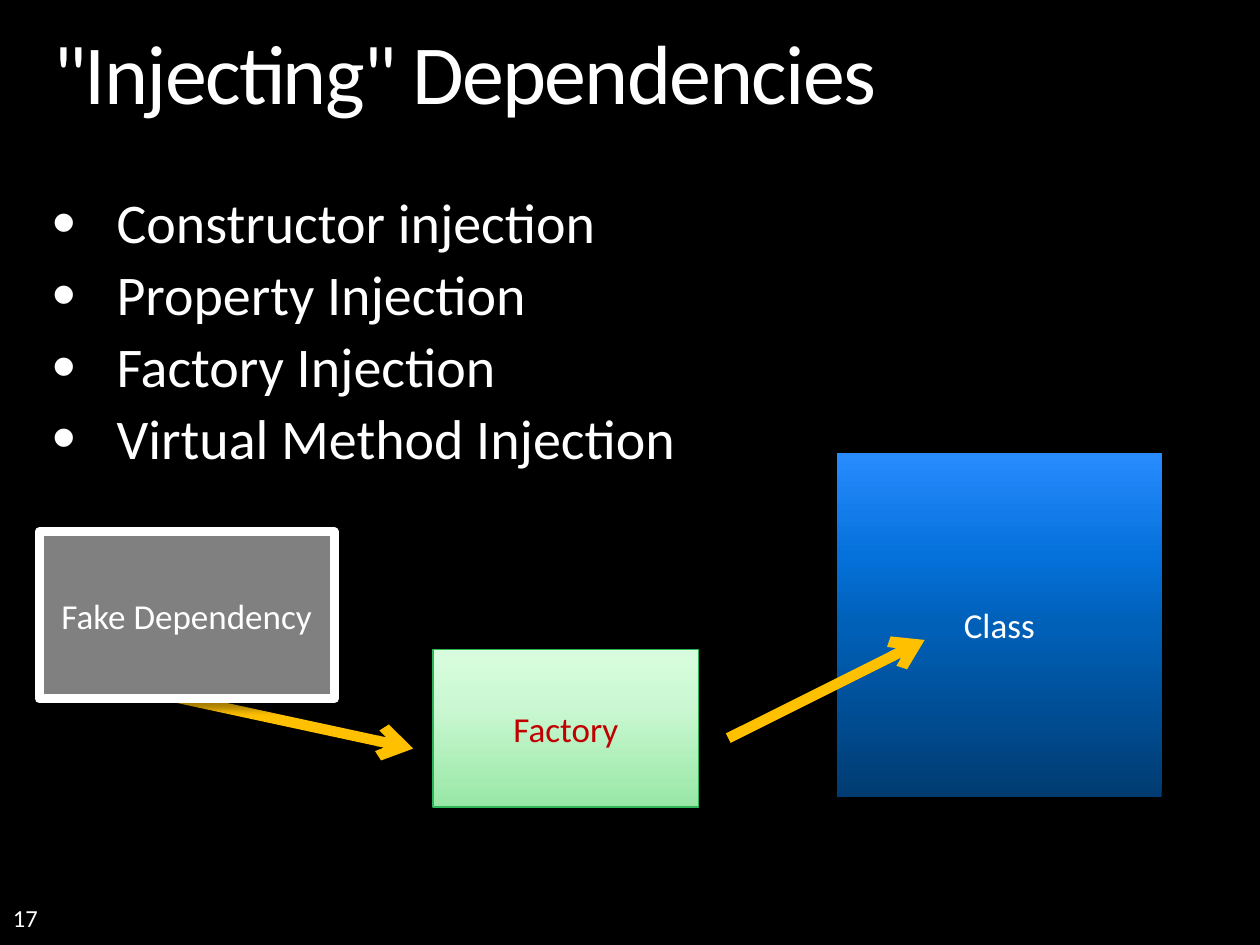
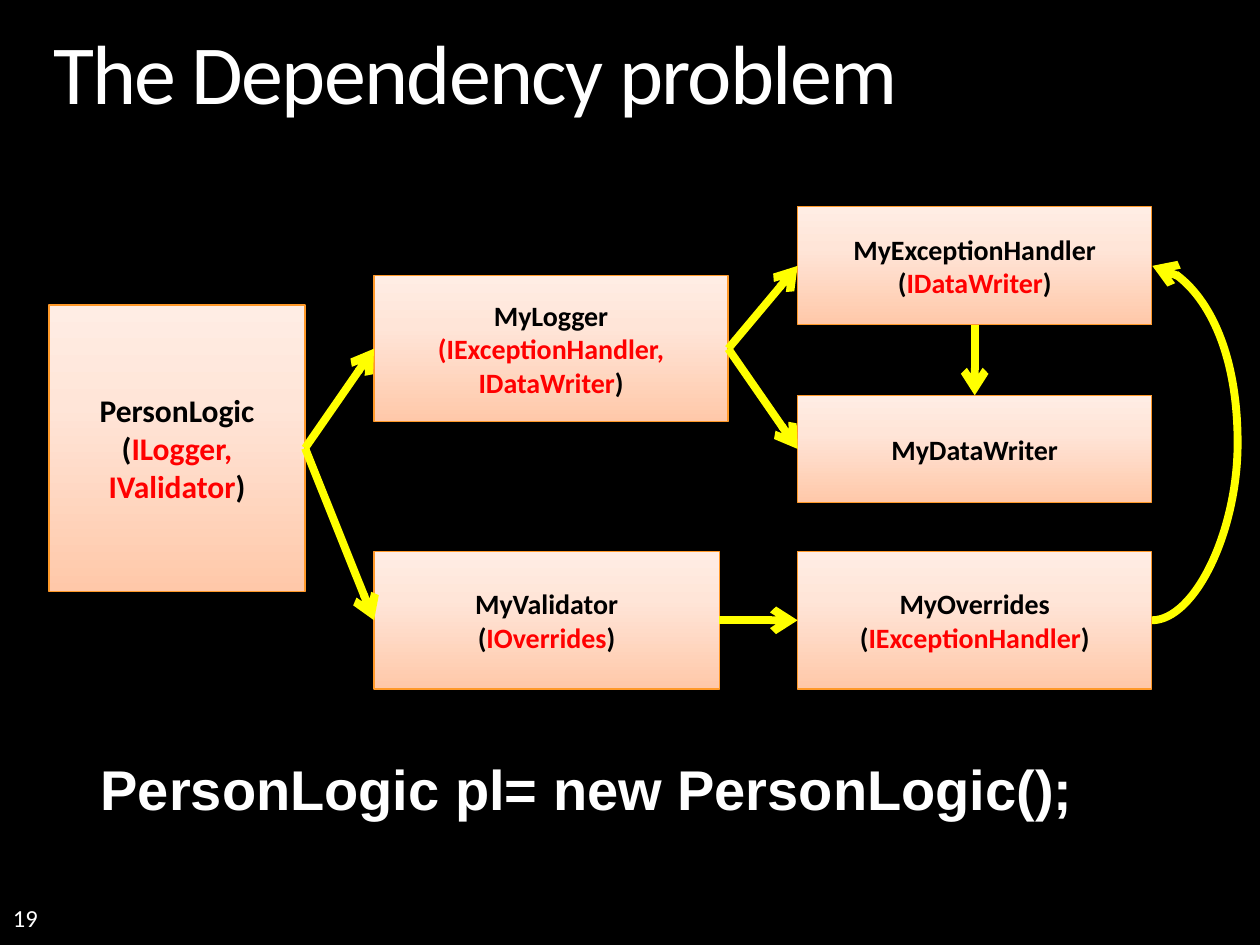
"""Build two slides on dependency injection and save them to out.pptx."""
from dataclasses import dataclass

from lxml.etree import SubElement
from pptx import Presentation
from pptx.dml.color import RGBColor
from pptx.enum.shapes import MSO_CONNECTOR, MSO_SHAPE
from pptx.enum.text import MSO_ANCHOR, PP_ALIGN
from pptx.oxml.ns import qn
from pptx.util import Cm, Pt

RECTANGLE = MSO_SHAPE.RECTANGLE
STRAIGHT, CURVE = MSO_CONNECTOR.STRAIGHT, MSO_CONNECTOR.CURVE
TOP, MIDDLE, BOTTOM = MSO_ANCHOR.TOP, MSO_ANCHOR.MIDDLE, MSO_ANCHOR.BOTTOM
LEFT, CENTER = PP_ALIGN.LEFT, PP_ALIGN.CENTER
TOP_SIDE, LEFT_SIDE, BOTTOM_SIDE, RIGHT_SIDE = range(4)
TITLE_ONLY = 5


@dataclass(frozen=True)
class Theme:
    font: str = "Calibri"
    code_font: str = "Arial"
    black: str = "000000"
    white: str = "FFFFFF"
    red: str = "FF0000"
    dark_red: str = "C00000"
    gray: str = "808080"
    amber: str = "FFC000"
    yellow: str = "FFFF00"
    green: str = "2DB557"
    orange: str = "FF9929"
    blue_fade: tuple = ((0, "003C72"), (50, "0060B8"), (70, "0571DB"), (100, "288CFF"))
    green_fade: tuple = ((0, "98E7A6"), (65, "CBF8D2"), (100, "D8FDDE"))
    peach_fade: tuple = ((0, "FFC8A9"), (65, "FFE5D8"), (100, "FFEDE4"))
    title_size: int = 48
    body_size: int = 32
    label_size: int = 20
    root_size: int = 18
    node_size: int = 16
    number_size: int = 14


theme = Theme()


def add_text(para, text, size, color=theme.white, font=theme.font, bold=False, spacing=0):
    span = para.add_run()
    span.text = text
    span.font.size = Pt(size)
    span.font.name = font
    span.font.bold = bold
    span.font.color.rgb = RGBColor.from_string(color)
    if spacing:
        span.font._element.set("spc", str(spacing * 100))


def add_block(page, spot, fade, lines, size, bold=False, border=None, border_width=0.75,
              shadow=(35, 4, 3)):
    box = page.shapes.add_shape(RECTANGLE, *map(Cm, spot))
    if isinstance(fade, str):
        box.fill.solid()
        box.fill.fore_color.rgb = RGBColor.from_string(fade)
    else:
        box.fill.gradient()
        box.fill.gradient_angle = 90
        stops = box.element.spPr.find(".//" + qn("a:gsLst"))
        for stop in list(stops):
            stops.remove(stop)
        for position, color in fade:
            stop = SubElement(stops, qn("a:gs"), pos=str(position * 1000))
            SubElement(stop, qn("a:srgbClr"), val=color)
    if border:
        box.line.color.rgb = RGBColor.from_string(border)
        box.line.width = Pt(border_width)
    else:
        box.line.fill.background()

    box.shadow.inherit = False
    opacity, blur, distance = shadow
    effects = box.element.spPr.find(qn("a:effectLst"))
    outer = SubElement(effects, qn("a:outerShdw"), blurRad=str(Pt(blur)),
                       dist=str(Pt(distance)), dir="5400000", rotWithShape="0")
    shade = SubElement(outer, qn("a:srgbClr"), val=theme.black)
    SubElement(shade, qn("a:alpha"), val=str(opacity * 1000))

    frame = box.text_frame
    frame.word_wrap = True
    frame.vertical_anchor = MIDDLE
    for index, line in enumerate(lines):
        para = frame.add_paragraph() if index else frame.paragraphs[0]
        para.alignment = CENTER
        for text, color in line:
            add_text(para, text, size, color, bold=bold)
    return box


deck = Presentation()
deck.slide_width, deck.slide_height = Cm(25.4), Cm(19.05)
backdrop = deck.slide_master.background.fill
backdrop.solid()
backdrop.fore_color.rgb = RGBColor.from_string(theme.black)

pages = []
for heading, number in (('"Injecting" Dependencies', "17"), ("The Dependency problem", "19")):
    page = deck.slides.add_slide(deck.slide_layouts[TITLE_ONLY])
    title = page.shapes.title
    title.left, title.top, title.width, title.height = map(Cm, (1.07, 0.64, 23.27, 1.85))
    footer = page.shapes.add_textbox(*map(Cm, (0.26, 17.78, 5.92, 1.02)))
    for box, anchor in ((title, TOP), (footer, BOTTOM)):
        frame = box.text_frame
        frame.word_wrap = True
        frame.vertical_anchor = anchor
        frame.margin_left = frame.margin_top = frame.margin_right = frame.margin_bottom = 0
        frame.paragraphs[0].alignment = LEFT
    title.text_frame.paragraphs[0].line_spacing = 0.9
    add_text(title.text_frame.paragraphs[0], heading, theme.title_size, spacing=-1)
    add_text(footer.text_frame.paragraphs[0], number, theme.number_size)
    pages.append(page)
injection_page, problem_page = pages
arrows = []

body = injection_page.shapes.add_textbox(*map(Cm, (1.05, 3.94, 23.29, 5.74)))
frame = body.text_frame
frame.word_wrap = True
frame.margin_left = frame.margin_top = frame.margin_right = frame.margin_bottom = 0
techniques = ("Constructor injection", "Property Injection", "Factory Injection",
              "Virtual Method Injection")
for index, technique in enumerate(techniques):
    para = frame.add_paragraph() if index else frame.paragraphs[0]
    para.line_spacing = 0.9
    para.space_before = Pt(6.4)
    properties = para._p.get_or_add_pPr()
    properties.set("marL", str(Cm(1.3)))
    properties.set("indent", str(-Cm(1.3)))
    SubElement(properties, qn("a:buSzPct"), val="120000")
    SubElement(properties, qn("a:buFont"), typeface=theme.code_font)
    SubElement(properties, qn("a:buChar"), char="•")
    add_text(para, technique, theme.body_size)

add_block(injection_page, (16.87, 9.13, 6.55, 6.93), theme.blue_fade,
          [[("Class", theme.white)]], theme.label_size, shadow=(45, 5, 3))
fake_arrow = injection_page.shapes.add_connector(
    STRAIGHT, *map(Cm, (2.77, 13.89, 8.33, 15.09)))
add_block(injection_page, (0.79, 10.72, 5.95, 3.37), theme.gray,
          [[("Fake Dependency", theme.white)]], theme.label_size,
          border=theme.white, border_width=5)
add_block(injection_page, (8.73, 13.1, 5.36, 3.17), theme.green_fade,
          [[("Factory", theme.dark_red)]], theme.label_size, border=theme.green)
factory_arrow = injection_page.shapes.add_connector(
    STRAIGHT, *map(Cm, (14.68, 14.88, 18.64, 12.9)))
arrows += [(fake_arrow, theme.amber, 6), (factory_arrow, theme.amber, 6)]

opening, closing = ("(", theme.black), (")", theme.black)
nodes = (
    ("PersonLogic", (0.99, 6.15, 5.16, 5.77), theme.root_size,
     [[opening, ("ILogger,", theme.red)], [("IValidator", theme.red), closing]]),
    ("MyValidator", (7.54, 11.12, 6.96, 2.77), theme.node_size,
     [[opening, ("IOverrides", theme.red), closing]]),
    ("MyLogger", (7.54, 5.56, 7.14, 2.94), theme.node_size,
     [[("(IExceptionHandler,", theme.red)], [("IDataWriter", theme.red), closing]]),
    ("MyOverrides", (16.08, 11.12, 7.14, 2.77), theme.node_size,
     [[opening, ("IExceptionHandler", theme.red), closing]]),
    ("MyExceptionHandler", (16.08, 4.17, 7.14, 2.38), theme.node_size,
     [[opening, ("IDataWriter", theme.red), closing]]),
    ("MyDataWriter", (16.08, 7.97, 7.14, 2.16), theme.node_size, []),
)
blocks = {}
for name, spot, size, needs in nodes:
    blocks[name] = add_block(problem_page, spot, theme.peach_fade,
                             [[(name, theme.black)]] + needs, size, bold=True,
                             border=theme.orange)

links = (
    ("PersonLogic", RIGHT_SIDE, "MyLogger", LEFT_SIDE, STRAIGHT),
    ("PersonLogic", RIGHT_SIDE, "MyValidator", LEFT_SIDE, STRAIGHT),
    ("MyLogger", RIGHT_SIDE, "MyExceptionHandler", LEFT_SIDE, STRAIGHT),
    ("MyValidator", RIGHT_SIDE, "MyOverrides", LEFT_SIDE, STRAIGHT),
    ("MyLogger", RIGHT_SIDE, "MyDataWriter", LEFT_SIDE, STRAIGHT),
    ("MyExceptionHandler", BOTTOM_SIDE, "MyDataWriter", TOP_SIDE, STRAIGHT),
    ("MyOverrides", RIGHT_SIDE, "MyExceptionHandler", RIGHT_SIDE, CURVE),
)
for source, source_side, target, target_side, kind in links:
    link = problem_page.shapes.add_connector(kind, 0, 0, deck.slide_width, 0)
    link.begin_connect(blocks[source], source_side)
    link.end_connect(blocks[target], target_side)
    if kind == CURVE:
        link.width = Cm(0.01)
        bulge = round(Cm(1.73) / link.width * 100000)
        guides = link._element.spPr.find(".//" + qn("a:avLst"))
        SubElement(guides, qn("a:gd"), name="adj1", fmla=f"val {bulge}")
    arrows.append((link, theme.yellow, 4.5))

code = problem_page.shapes.add_textbox(*map(Cm, (1.78, 15.09, 20.27, 1.63)))
code.text_frame.word_wrap = False
add_text(code.text_frame.paragraphs[0], "PersonLogic pl= new PersonLogic();",
         theme.body_size, font=theme.code_font, bold=True)

for arrow, color, width in arrows:
    arrow.line.color.rgb = RGBColor.from_string(color)
    arrow.line.width = Pt(width)
    properties = arrow._element.spPr
    SubElement(properties.find(qn("a:ln")), qn("a:tailEnd"), type="arrow")
    SubElement(properties, qn("a:effectLst"))

deck.save("out.pptx")
